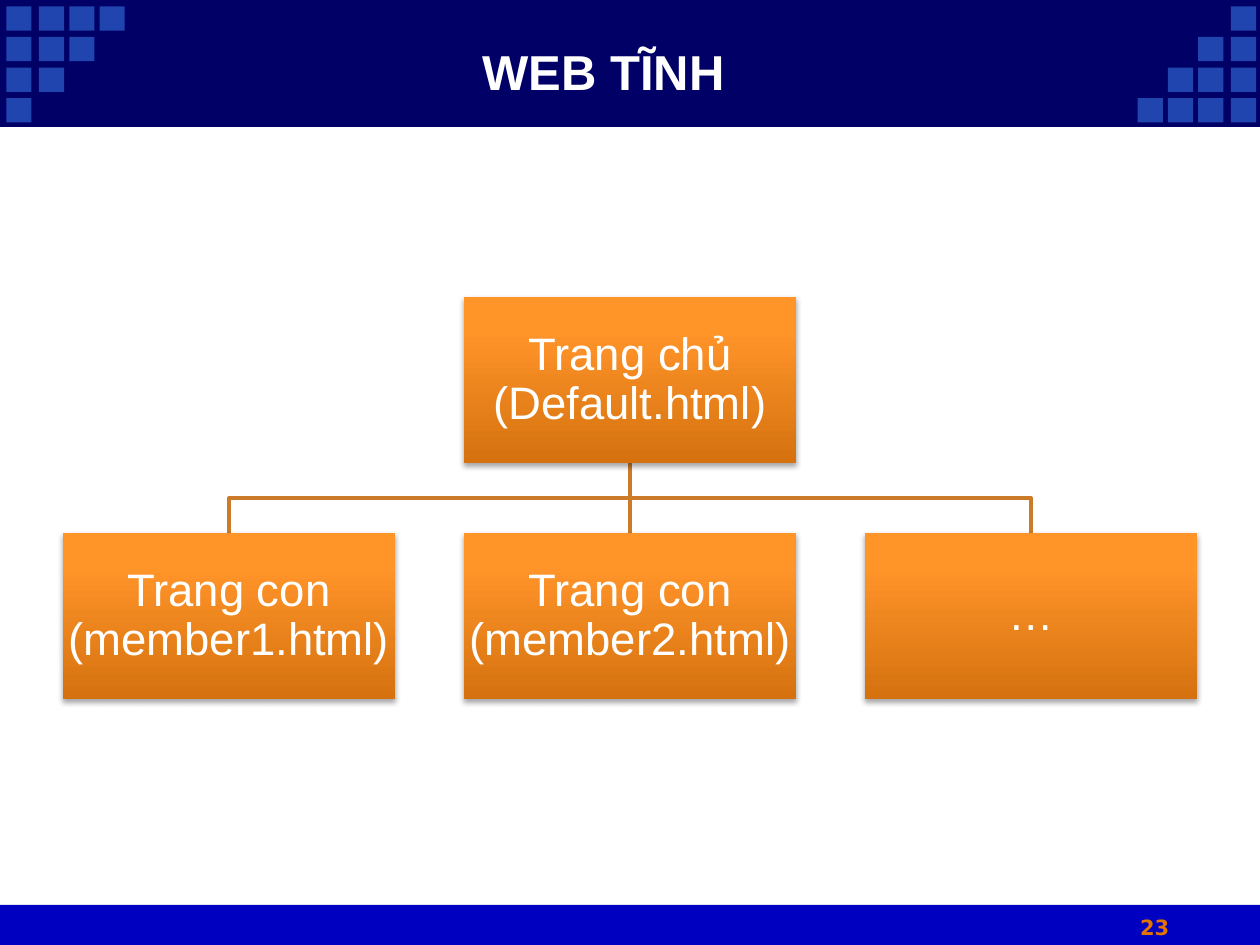
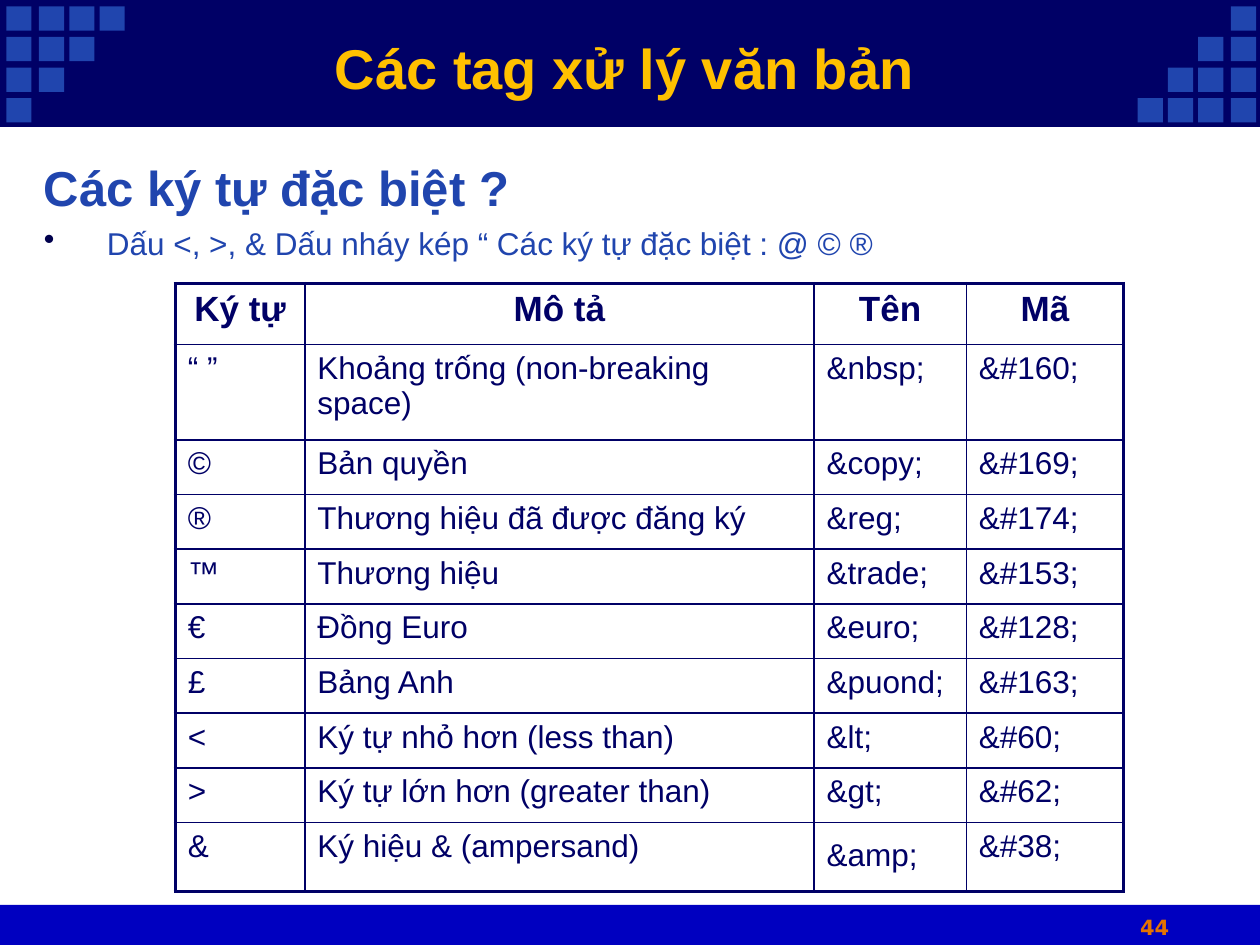
from lxml.etree import SubElement as Sub
from pptx import Presentation
from pptx.dml.color import RGBColor as Rgb
from pptx.enum.shapes import MSO_CONNECTOR as Conn, MSO_SHAPE as Kind
from pptx.enum.text import MSO_ANCHOR as Anchor, PP_ALIGN as Align
from pptx.oxml.ns import qn
from pptx.util import Pt

INK = {
    "band": "000066", "foot": "0000C0", "tile": "2045AE", "page": "E57300",
    "white": "FFFFFF", "gold": "FFC000", "dot": "00004D", "link": "CC7B29",
    "deep": "D5720F", "mid": "FF9429", "top": "FF952B", "shade": "000000",
}

WEB = {"title": "WEB TĨNH", "page": "23"}
ROOT = "Trang chủ (Default.html)"
KIDS = ["Trang con (member1.html)", "Trang con (member2.html)", "…"]

TAGS = {"title": "Các tag xử lý văn bản", "page": "44"}
HEAD = "Các ký tự đặc biệt ?"
NOTE = "Dấu <, >, & Dấu nháy kép “ Các ký tự đặc biệt : @ © ®"
SIGNS = [
    ("Ký tự", "Mô tả", "Tên", "Mã"),
    ("“ ”", "Khoảng trống (non-breaking space)", "&nbsp;", "&#160;"),
    ("©", "Bản quyền", "&copy;", "&#169;"),
    ("®", "Thương hiệu đã được đăng ký", "&reg;", "&#174;"),
    ("™", "Thương hiệu", "&trade;", "&#153;"),
    ("€", "Đồng Euro", "&euro;", "&#128;"),
    ("£", "Bảng Anh", "&puond;", "&#163;"),
    ("<", "Ký tự nhỏ hơn (less than)", "&lt;", "&#60;"),
    (">", "Ký tự lớn hơn (greater than)", "&gt;", "&#62;"),
    ("&", "Ký hiệu & (ampersand)", "&amp;", "&#38;"),
]
COLS = [74, 291, 87, 90]
ROWS = [34.8, 54.6] + [31.25] * 7 + [39.4]

WIDE, HIGH = 720, 540
TILE = (14.4, 13.9)
TILE_X = [3.6, 22.3, 39.6, 56.9]
TILE_Y, TILE_STEP = 3.6, 17.5
BOX_W, BOX_H, BOX_STEP = 189.6, 94.8, 229.2
BOX_X, ROOT_Y, KID_Y = 36, 169.8, 304.6


def pts(*nums):
    return [Pt(n) for n in nums]


def color(name):
    return Rgb.from_string(INK[name])


def tint(node, name, alpha=None):
    """Add a colour element to an XML node."""
    clr = Sub(node, qn("a:srgbClr"), val=INK[name])
    if alpha:
        Sub(clr, qn("a:alpha"), val=str(alpha * 1000))


def write(frame, text, size=18, ink="band", bold=False, font="Arial",
          align=Align.LEFT, line=None, before=None, bullet=False, more=False):
    """Fill the first paragraph, or add one when more is set."""
    par = frame.add_paragraph() if more else frame.paragraphs[0]
    par.alignment = align
    if line:
        par.line_spacing = line
    if before:
        par.space_before = Pt(before)
    if bullet:
        props = par._p.get_or_add_pPr()
        props.set("marL", str(Pt(36)))
        props.set("indent", str(Pt(-36)))
        tint(Sub(props, qn("a:buClr")), "dot")
        Sub(props, qn("a:buChar"), char="•")
    run = par.add_run()
    run.text = text
    run.font.size, run.font.bold, run.font.name = Pt(size), bold, font
    run.font.color.rgb = color(ink)


def text_box(slide, x, y, w, h, anchor=Anchor.TOP):
    frame = slide.shapes.add_textbox(*pts(x, y, w, h)).text_frame
    frame.word_wrap = True
    frame.vertical_anchor = anchor
    return frame


def rect(slide, x, y, w, h, fill=None):
    shape = slide.shapes.add_shape(Kind.RECTANGLE, *pts(x, y, w, h))
    shape.shadow.inherit = False
    shape.line.fill.background()
    if fill:
        shape.fill.solid()
        shape.fill.fore_color.rgb = color(fill)
    return shape


def start(deck, info, x, y, size, ink):
    """Add a slide with bands, corner tiles, title and page number."""
    slide = deck.slides.add_slide(deck.slide_layouts[6])
    rect(slide, 0, 517, WIDE, HIGH - 517, "foot")
    band = rect(slide, 0, 0, WIDE, 72, "band")
    band.line.color.rgb = color("band")
    band.line.width = Pt(0.75)
    for row in range(4):
        y_tile = TILE_Y + row * TILE_STEP
        for left in TILE_X[:4 - row]:
            rect(slide, left, y_tile, *TILE, "tile")
        for left in TILE_X[:row + 1]:
            rect(slide, WIDE + 1.4 - left - TILE[0], y_tile, *TILE, "tile")
    write(text_box(slide, 635.8, 519.1, 48, 20.9), info["page"], size=12,
          ink="page", bold=True, font="DejaVu Sans", align=Align.CENTER)
    write(text_box(slide, x, y, 582, 44.6, Anchor.MIDDLE), info["title"],
          size=size, ink=ink, bold=True, align=Align.CENTER)
    return slide


def node(slide, x, y, text):
    """Draw one shaded box of the site tree."""
    shape = rect(slide, x, y, BOX_W, BOX_H)
    props = shape._element.spPr
    grad = Sub(props, qn("a:gradFill"), rotWithShape="1")
    props.insert(2, grad)
    stops = Sub(grad, qn("a:gsLst"))
    for pos, name in ((0, "deep"), (80, "mid"), (100, "top")):
        tint(Sub(stops, qn("a:gs"), pos=str(pos * 1000)), name)
    Sub(grad, qn("a:lin"), ang="16200000", scaled="0")
    cast = Sub(props.find(qn("a:effectLst")), qn("a:outerShdw"),
               blurRad=str(Pt(3.1)), dist=str(Pt(1.8)), dir="5400000",
               rotWithShape="0")
    tint(cast, "shade", alpha=35)
    frame = shape.text_frame
    frame.word_wrap = True
    frame.vertical_anchor = Anchor.MIDDLE
    frame.margin_left = frame.margin_right = Pt(1.4)
    frame.margin_top = frame.margin_bottom = Pt(1.4)
    write(frame, text, size=26, ink="white", align=Align.CENTER, line=0.9)


def link(slide, start_x, end_x):
    """Join the root box to a child, with a bend unless it lies below."""
    top, low = ROOT_Y + BOX_H, KID_Y
    if start_x == end_x:
        line = slide.shapes.add_connector(
            Conn.STRAIGHT, *pts(start_x, top, end_x, low))
        Sub(line._element.spPr, qn("a:effectLst"))
    else:
        half = (top + low) / 2
        path = slide.shapes.build_freeform(*pts(start_x, top), scale=1.0)
        path.add_line_segments(
            [pts(start_x, half), pts(end_x, half), pts(end_x, low)],
            close=False)
        line = path.convert_to_shape()
        line.fill.background()
        line.shadow.inherit = False
    line.line.color.rgb = color("link")
    line.line.width = Pt(2)


def edge(cell, **widths):
    """Draw cell borders, widths given by side."""
    props = cell._tc.get_or_add_tcPr()
    for side in "LRTB":
        line = Sub(props, qn("a:ln" + side), w=str(Pt(widths[side])))
        tint(Sub(line, qn("a:solidFill")), "band")


def tree(slide):
    lefts = [BOX_X + i * BOX_STEP for i in range(len(KIDS))]
    mid = lefts[1]
    for left in reversed(lefts):
        link(slide, mid + BOX_W / 2, left + BOX_W / 2)
    node(slide, mid, ROOT_Y, ROOT)
    for left, text in zip(lefts, KIDS):
        node(slide, left, KID_Y, text)


def grid(slide):
    table = slide.shapes.add_table(
        len(ROWS), len(COLS), *pts(100.2, 162, sum(COLS), sum(ROWS))).table
    table.first_row = table.horz_banding = False
    for col, wide in zip(table.columns, COLS):
        col.width = Pt(wide)
    end_r, end_c = len(ROWS) - 1, len(COLS) - 1
    for r, row in enumerate(SIGNS):
        table.rows[r].height = Pt(ROWS[r])
        for c, text in enumerate(row):
            cell = table.cell(r, c)
            outer = {"L": c == 0, "R": c == end_c, "T": r == 0, "B": r == end_r}
            edge(cell, **{s: 2.25 if out else 1 for s, out in outer.items()})
            cell.fill.background()
            if r == 0:
                write(cell.text_frame, text, size=20, bold=True,
                      align=Align.CENTER)
            else:
                write(cell.text_frame, text)
    table.cell(end_r, 2).margin_top = Pt(9)


def main():
    deck = Presentation()
    deck.slide_width, deck.slide_height = pts(WIDE, HIGH)

    tree(start(deck, WEB, 54, 18, 28, "white"))

    slide = start(deck, TAGS, 66, 16, 32, "gold")
    body = text_box(slide, 18, 84.2, 666, 414)
    body.margin_top = Pt(6)
    write(body, HEAD, size=28, ink="tile", bold=True, align=Align.JUSTIFY)
    write(body, NOTE, ink="tile", align=Align.JUSTIFY, before=4, bullet=True,
          more=True)
    grid(slide)

    deck.save("out.pptx")


if __name__ == "__main__":
    main()
